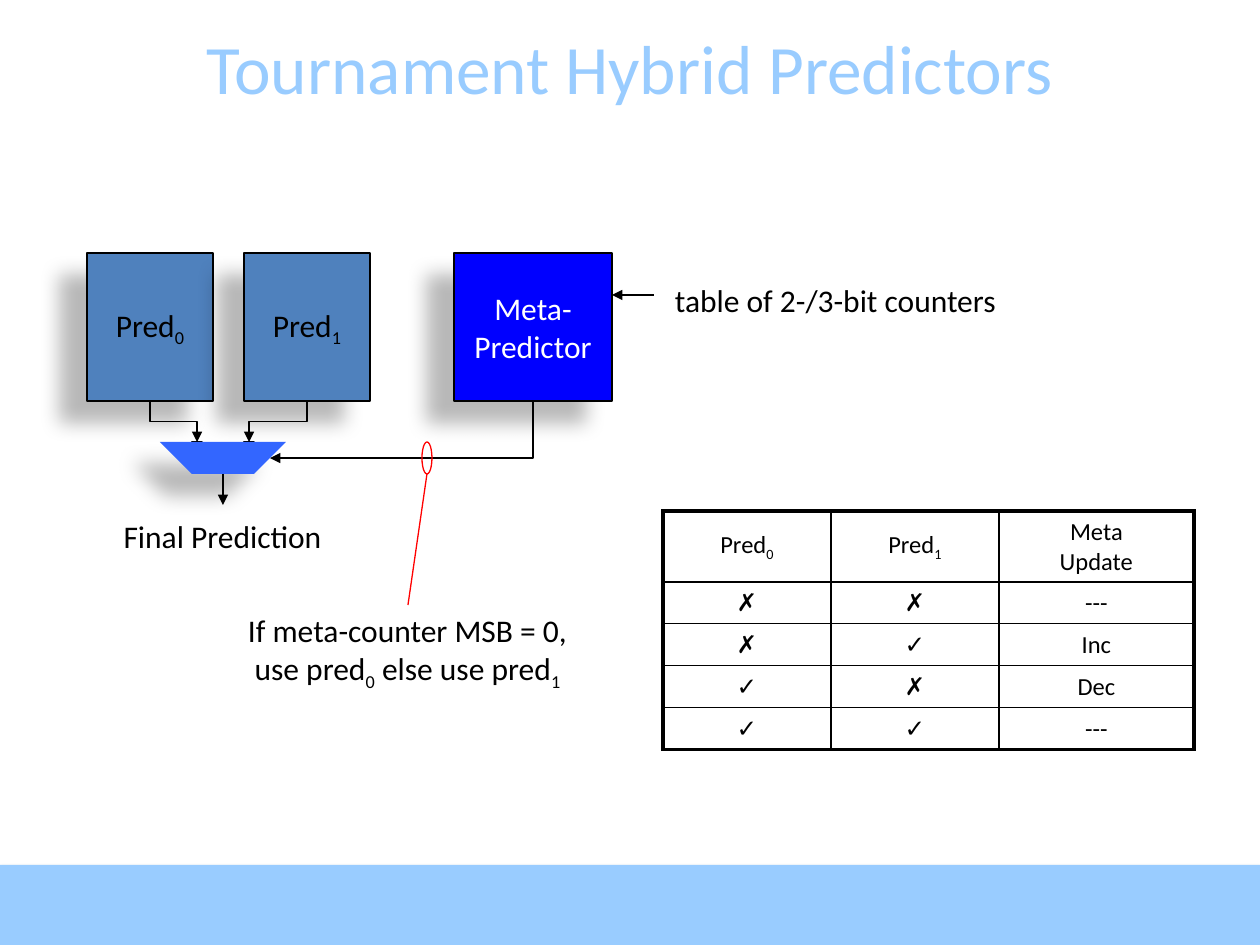
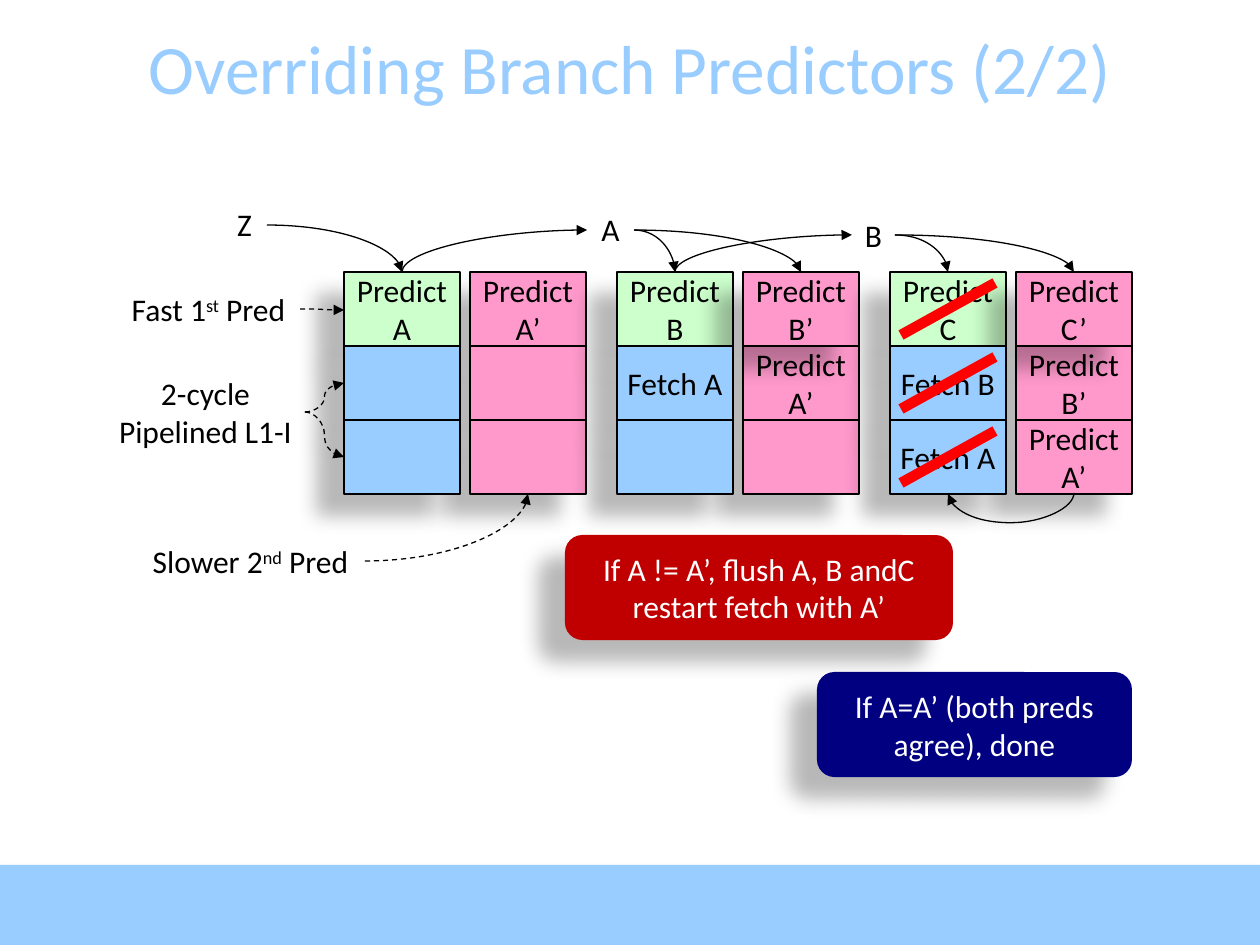
from dataclasses import dataclass

import pptx
import pptx.dml.color
import pptx.enum.dml
import pptx.enum.shapes
import pptx.enum.text
import pptx.oxml.ns
import pptx.util
from lxml import etree

SHAPE = pptx.enum.shapes.MSO_SHAPE
CONNECTOR = pptx.enum.shapes.MSO_CONNECTOR
qn = pptx.oxml.ns.qn

# Shared look
EMU_PER_PX = 914400 / 126
PAGE_WIDTH, PAGE_HEIGHT = 1260, 945
FONT = "Calibri"
BLACK, WHITE, RED = "000000", "FFFFFF", "FF0000"
SKY, STEEL, GREEN, PINK = "99CCFF", "4F81BD", "CCFFCC", "FF99CC"
SUBSCRIPT, SUPERSCRIPT = -25, 30


@dataclass(frozen=True)
class Shadow:
    alpha: int
    blur: float
    distance: float
    angle: int


BLOCK_SHADOW = Shadow(28, 11.8, 19.7, 141)
BAND_SHADOW = Shadow(35, 3.1, 1.8, 90)


@dataclass(frozen=True)
class Block:
    area: tuple[int, int, int, int]
    fill: str
    text: str = ""
    color: str = BLACK
    line: str | None = BLACK
    preset: int = SHAPE.RECTANGLE
    shadow: Shadow | None = BLOCK_SHADOW


@dataclass(frozen=True)
class Label:
    area: tuple[int, int, int, int]
    text: str
    shift: int = SUPERSCRIPT


@dataclass(frozen=True)
class Route:
    """A bent or curved arrow; legs is 2 or 3, adjust places the middle leg."""
    start: tuple[int, int]
    end: tuple[int, int]
    kind: str = "curved"
    legs: int = 2
    vertical: bool = False
    dashed: bool = False
    adjust: int | None = None


@dataclass(frozen=True)
class Stage:
    """Fast and slow pipeline columns; order lists (column, row) back to front."""
    fast: tuple[str, str, str]
    slow: tuple[str, str, str]
    order: tuple[tuple[int, int], ...]


def px(*lengths: int) -> list[int]:
    return [pptx.util.Emu(round(length * EMU_PER_PX)) for length in lengths]


def rgb(color: str) -> pptx.dml.color.RGBColor:
    return pptx.dml.color.RGBColor.from_string(color)


# Text: pieces between bars are raised or lowered
def write(frame, text: str, size: float = 18, color: str = BLACK, shift: int = SUBSCRIPT) -> None:
    frame.text = text
    for para in frame.paragraphs:
        para.alignment = pptx.enum.text.PP_ALIGN.CENTER
        first, *others = para.text.split("|")
        para.text = first
        for piece in others:
            para.add_run().text = piece
        for index, span in enumerate(para.runs):
            span.font.name, span.font.size = FONT, pptx.util.Pt(size)
            span.font.color.rgb = rgb(color)
            if index % 2:
                span._r.get_or_add_rPr().set("baseline", str(shift * 1000))


def add_label(page, label: Label) -> None:
    frame = page.shapes.add_textbox(*px(*label.area)).text_frame
    frame.word_wrap = False
    write(frame, label.text, shift=label.shift)


# Shapes
def paint(shape, fill: str | None, line: str | None, shadow: Shadow | None) -> None:
    shape.shadow.inherit = False
    if fill:
        shape.fill.solid()
        shape.fill.fore_color.rgb = rgb(fill)
    else:
        shape.fill.background()
    if line:
        shape.line.color.rgb = rgb(line)
        shape.line.width = pptx.util.Pt(0.75)
    else:
        shape.line.fill.background()
    if shadow:
        effects = shape._element.spPr.find(qn("a:effectLst"))
        outer = etree.SubElement(
            effects, qn("a:outerShdw"), blurRad=str(pptx.util.Pt(shadow.blur)),
            dist=str(pptx.util.Pt(shadow.distance)), dir=str(shadow.angle * 60000),
            algn="ctr", rotWithShape="0")
        tint = etree.SubElement(outer, qn("a:srgbClr"), val=BLACK)
        etree.SubElement(tint, qn("a:alpha"), val=str(shadow.alpha * 1000))


def add_block(page, block: Block) -> None:
    shape = page.shapes.add_shape(block.preset, *px(*block.area))
    paint(shape, block.fill, block.line, block.shadow)
    if block.text:
        shape.text_frame.word_wrap = False
        shape.text_frame.vertical_anchor = pptx.enum.text.MSO_ANCHOR.MIDDLE
        write(shape.text_frame, block.text, color=block.color)


# Lines and arrows
def draw_line(connector, color: str = BLACK, width: float = 0.75,
              arrow: bool = True, dashed: bool = False) -> None:
    line = connector.line
    line.color.rgb = rgb(color)
    line.width = pptx.util.Pt(width)
    if dashed:
        line.dash_style = pptx.enum.dml.MSO_LINE.DASH
    if arrow:
        etree.SubElement(line._get_or_add_ln(), qn("a:tailEnd"), type="triangle")
    etree.SubElement(connector._element.spPr, qn("a:effectLst"))


def add_line(page, start: tuple[int, int], end: tuple[int, int], color: str = BLACK,
             width: float = 0.75, arrow: bool = True) -> None:
    connector = page.shapes.add_connector(CONNECTOR.STRAIGHT, *px(*start, *end))
    draw_line(connector, color, width, arrow)


def add_route(page, route: Route) -> None:
    kind = CONNECTOR.CURVE if route.kind == "curved" else CONNECTOR.ELBOW
    connector = page.shapes.add_connector(kind, *px(*route.start, *route.end))
    properties = connector._element.spPr
    geometry = properties.find(qn("a:prstGeom"))
    geometry.set("prst", f"{route.kind}Connector{route.legs}")
    if route.adjust is not None:
        etree.SubElement(geometry.find(qn("a:avLst")), qn("a:gd"),
                         name="adj1", fmla=f"val {route.adjust}")
    if route.vertical:
        # A quarter turn about the centre swaps width and height
        right, down = route.end[0] > route.start[0], route.end[1] > route.start[1]
        middle_x = connector.left + connector.width // 2
        middle_y = connector.top + connector.height // 2
        connector.width, connector.height = connector.height, connector.width
        connector.left = middle_x - connector.width // 2
        connector.top = middle_y - connector.height // 2
        turned = right and down
        frame = properties.find(qn("a:xfrm"))
        frame.set("rot", "16200000" if turned else "5400000")
        frame.set("flipH", str(int(turned or not down)))
        frame.set("flipV", str(int(right and not turned)))
    draw_line(connector, dashed=route.dashed)


def add_page(deck, title: str):
    page = deck.slides.add_slide(deck.slide_layouts[6])
    add_block(page, Block((0, 865, PAGE_WIDTH, 80), SKY, line=None, shadow=BAND_SHADOW))
    frame = page.shapes.add_textbox(*px(0, 27, PAGE_WIDTH, 79)).text_frame
    frame.word_wrap = True
    frame.vertical_anchor = pptx.enum.text.MSO_ANCHOR.MIDDLE
    write(frame, title, 39.6, SKY)
    return page


# Tournament slide
UPDATES = (("Pred|0", "Pred|1", "Meta Update"),
           ("✗", "✗", "---"), ("✗", "✓", "Inc"),
           ("✓", "✗", "Dec"), ("✓", "✓", "---"))
COLUMN_WIDTHS = (168, 168, 195)
ROW_HEIGHTS = (67, 42, 42, 42, 42)


def set_border(cell, side: str, width: float) -> None:
    line = etree.SubElement(cell._tc.get_or_add_tcPr(), qn(f"a:{side}"),
                            w=str(pptx.util.Pt(width)))
    fill = etree.SubElement(line, qn("a:solidFill"))
    etree.SubElement(fill, qn("a:srgbClr"), val=BLACK)


def add_update_table(page) -> None:
    rows, columns = len(UPDATES), len(COLUMN_WIDTHS)
    area = px(663, 511, sum(COLUMN_WIDTHS), sum(ROW_HEIGHTS))
    table = page.shapes.add_table(rows, columns, *area).table
    table.first_row = table.horz_banding = False
    for column, width in zip(table.columns, px(*COLUMN_WIDTHS)):
        column.width = width
    for row, height in zip(table.rows, px(*ROW_HEIGHTS)):
        row.height = height
    for r, values in enumerate(UPDATES):
        for c, value in enumerate(values):
            cell = table.cell(r, c)
            write(cell.text_frame, value, 14)
            cell.vertical_anchor = pptx.enum.text.MSO_ANCHOR.MIDDLE
            cell.margin_left, cell.margin_right = px(32, 32)
            cell.margin_top, cell.margin_bottom = px(6, 6)
            outer_sides = {"lnL": c == 0, "lnR": c == columns - 1,
                           "lnT": r == 0, "lnB": r == rows - 1}
            for side, outer in outer_sides.items():
                set_border(cell, side, 2.25 if outer else 1)
            cell.fill.background()


def build_tournament(deck) -> None:
    page = add_page(deck, "Tournament Hybrid Predictors")
    add_update_table(page)
    for left in (244, 192):
        add_block(page, Block((left, 442, 10, 10), STEEL, shadow=None))
    for index, left in enumerate((87, 244)):
        add_block(page, Block((left, 253, 126, 148), STEEL, f"Pred|{index}"))
    add_block(page, Block((454, 253, 158, 148), "0000FF", "Meta-\nPredictor", WHITE))

    # Multiplexer and its wires
    outline = page.shapes.build_freeform(*px(160, 442), scale=1.0)
    outline.add_line_segments([px(*point) for point in ((192, 474), (254, 474), (286, 442))])
    paint(outline.convert_to_shape(), "3366FF", None, BLOCK_SHADOW)
    for route in (Route((150, 401), (197, 442), "bent", 3, True),
                  Route((307, 401), (249, 442), "bent", 3, True),
                  Route((533, 401), (270, 458), "bent", 2, True)):
        add_route(page, route)
    add_line(page, (223, 474), (223, 505))
    add_line(page, (654, 295), (612, 295))

    # Selection rule
    marker = page.shapes.add_shape(SHAPE.OVAL, *px(422, 442, 10, 32))
    paint(marker, None, RED, None)
    add_line(page, (427, 474), (408, 605), RED, arrow=False)
    for label in (Label((111, 511, 223, 50), "Final Prediction"),
                  Label((662, 275, 347, 50), "table of 2-/3-bit counters"),
                  Label((232, 605, 351, 89),
                        "If meta-counter MSB = 0,\nuse pred|0| else use pred|1", SUBSCRIPT)):
        add_label(page, label)


# Overriding slide
STAGE_LEFT, STAGE_TOP, STAGE_STEP = 344, 272, 273
COLUMN_STEP, CELL_WIDTH, CELL_HEIGHT = 126, 116, 74
SLOW_FIRST = ((1, 0), (1, 1), (1, 2), (0, 0), (0, 1), (0, 2))
SLOW_TOP_LATE = ((0, 0), (1, 1), (1, 2), (1, 0), (0, 1), (0, 2))
STAGES = (
    Stage(("Predict\nA", "", ""), ("Predict\nA’", "", ""), SLOW_FIRST),
    Stage(("Predict\nB", "Fetch A", ""), ("Predict\nB’", "Predict\nA’", ""), SLOW_TOP_LATE),
    Stage(("Predict\nC", "Fetch B", "Fetch A"),
          ("Predict\nC’", "Predict\nB’", "Predict\nA’"), SLOW_TOP_LATE),
)


def add_stage(page, left: int, stage: Stage) -> None:
    for column, row in stage.order:
        texts = stage.slow if column else stage.fast
        fill = PINK if column else SKY if row else GREEN
        area = (left + column * COLUMN_STEP, STAGE_TOP + row * CELL_HEIGHT,
                CELL_WIDTH, CELL_HEIGHT)
        add_block(page, Block(area, fill, texts[row]))


def build_overriding(deck) -> None:
    page = add_page(deck, "Overriding Branch Predictors (2/2)")
    for label in (Label((116, 284, 185, 50), "Fast 1|st| Pred"),
                  Label((105, 368, 201, 89), "2-cycle\nPipelined L1-I"),
                  Label((136, 536, 229, 50), "Slower 2|nd| Pred"),
                  Label((222, 199, 45, 50), "Z"),
                  Label((587, 204, 47, 50), "A"),
                  Label((852, 210, 43, 50), "B")):
        add_label(page, label)
    for route in (Route((365, 561), (528, 494), dashed=True),
                  Route((305, 412), (344, 457), legs=3, dashed=True),
                  Route((305, 412), (344, 383), legs=3, dashed=True),
                  Route((300, 309), (344, 310), legs=3, dashed=True)):
        add_route(page, route)
    lefts = [STAGE_LEFT + index * STAGE_STEP for index in range(len(STAGES))]
    for left, stage in zip(lefts, STAGES):
        add_stage(page, left, stage)

    # Address flow between stages
    fast_tops = [(left + CELL_WIDTH // 2, STAGE_TOP) for left in lefts]
    slow_tops = [(x + COLUMN_STEP, y) for x, y in fast_tops]
    for route in (Route((267, 225), fast_tops[0]),
                  Route(fast_tops[0], (587, 230), vertical=True),
                  Route((634, 230), fast_tops[1]),
                  Route((634, 230), slow_tops[1]),
                  Route(fast_tops[1], (852, 235), vertical=True),
                  Route((895, 235), fast_tops[2]),
                  Route((895, 235), slow_tops[2]),
                  Route((1074, 493), (948, 494), legs=3, vertical=True, adjust=3000000)):
        add_route(page, route)

    # Flushed work and outcomes
    for row in range(3):
        top = STAGE_TOP + row * CELL_HEIGHT
        add_line(page, (lefts[2] + 11, top + 63), (lefts[2] + 105, top + 11), RED, 6, False)
    for area, fill, text in (
            ((817, 672, 315, 105), "000080", "If A=A’ (both preds\nagree), done"),
            ((565, 535, 388, 105), "C00000",
             "If A != A’, flush A, B andC\nrestart fetch with A’")):
        add_block(page, Block(area, fill, text, WHITE, None, SHAPE.ROUNDED_RECTANGLE))


def main() -> None:
    deck = pptx.Presentation()
    deck.slide_width, deck.slide_height = px(PAGE_WIDTH, PAGE_HEIGHT)
    build_tournament(deck)
    build_overriding(deck)
    deck.save("out.pptx")


if __name__ == "__main__":
    main()
